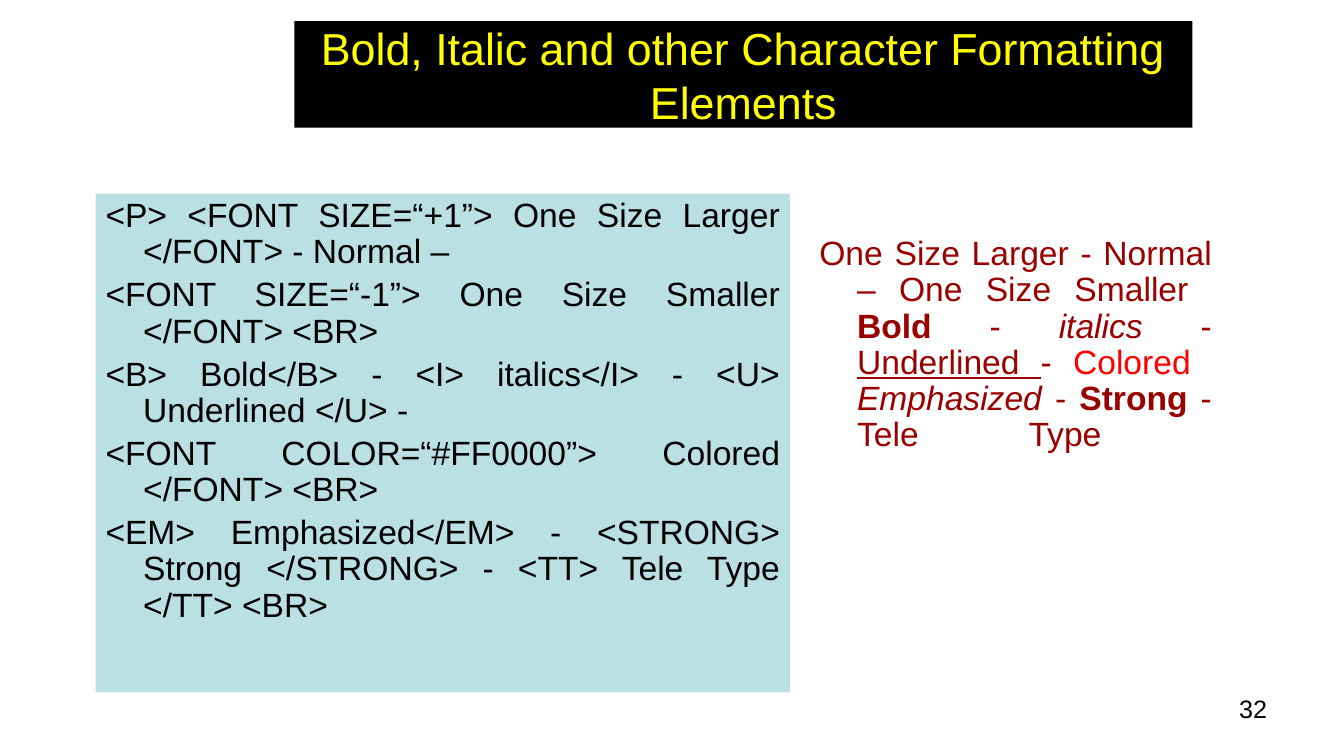
"""Build a slide on HTML character formatting elements."""
from pptx import Presentation
from pptx import util as u
from pptx.dml.color import RGBColor
from pptx.enum import text

BLACK = RGBColor(0x00, 0x00, 0x00)
YELLOW = RGBColor(0xFF, 0xFF, 0x00)
PALE_BLUE = RGBColor(0xBB, 0xE0, 0xE3)
DARK_RED = RGBColor(0x99, 0x00, 0x00)
RED = RGBColor(0xFF, 0x00, 0x00)
FONT = "Arial"
BREAK = "\v"

MARKUP = [
    "<P> <FONT SIZE=“+1”> One Size Larger </FONT> - Normal –",
    "<FONT SIZE=“-1”> One Size Smaller </FONT> <BR>",
    "<B> Bold</B> - <I> italics</I> - <U> Underlined </U> -",
    "<FONT COLOR=“#FF0000”> Colored </FONT> <BR>",
    "<EM> Emphasized</EM> - <STRONG> Strong </STRONG> - <TT> Tele Type </TT> <BR>",
]
RESULT = [
    ("One Size Larger - Normal – One Size Smaller ", {}),
    (BREAK, {}),
    ("Bold", {"bold": True}),
    (" - ", {}),
    ("italics", {"italic": True}),
    (" - ", {}),
    ("Underlined ", {"underline": True}),
    ("- ", {}),
    ("Colored ", {"color": RED}),
    (BREAK, {}),
    ("Emphasized", {"italic": True}),
    (" - ", {}),
    ("Strong ", {"bold": True}),
    ("- Tele Type ", {}),
    (BREAK, {}),
]


def format_run(r, size, color, bold=None, italic=None, underline=None):
    r.font.name = FONT
    r.font.size = u.Pt(size)
    r.font.color.rgb = color
    r.font.bold = bold
    r.font.italic = italic
    r.font.underline = underline


def format_hanging(p, first):
    p.alignment = text.PP_ALIGN.JUSTIFY
    p.line_spacing = 0.9
    p.space_before = u.Pt(0 if first else 4.8)
    pPr = p._p.get_or_add_pPr()
    pPr.set("marL", str(u.Cm(0.95)))
    pPr.set("indent", str(u.Cm(-0.95)))


def add_box(s, left, top, width, height):
    sp = s.shapes.add_textbox(u.Cm(left), u.Cm(top), u.Cm(width), u.Cm(height))
    sp.text_frame.word_wrap = True
    return sp


def set_title(s, title):
    sp = s.shapes.title
    sp.left, sp.top = u.Cm(7.42), u.Cm(0.53)
    sp.width, sp.height = u.Cm(22.63), u.Cm(2.69)
    sp.fill.solid()
    sp.fill.fore_color.rgb = BLACK
    tf = sp.text_frame
    tf.text = title
    tf.auto_size = text.MSO_AUTO_SIZE.NONE
    tf.vertical_anchor = text.MSO_ANCHOR.MIDDLE
    p = tf.paragraphs[0]
    p.alignment = text.PP_ALIGN.CENTER
    format_run(p.runs[0], 32, YELLOW)


def add_markup(s):
    sp = add_box(s, 2.41, 4.88, 17.5, 12.57)
    sp.fill.solid()
    sp.fill.fore_color.rgb = PALE_BLUE
    tf = sp.text_frame
    tf.text = "\n".join(MARKUP)
    for i, p in enumerate(tf.paragraphs):
        format_hanging(p, i == 0)
        format_run(p.runs[0], 24, BLACK)


def add_result(s):
    tf = add_box(s, 20.4, 4.78, 10.39, 12.57).text_frame
    tf.margin_top = u.Cm(1.18)
    p = tf.paragraphs[0]
    format_hanging(p, True)
    for words, style in RESULT:
        if words == BREAK:
            p.add_line_break()
            continue
        r = p.add_run()
        r.text = words
        format_run(r, 24, **{"color": DARK_RED, **style})


def add_page_number(s, number):
    tf = add_box(s, 24.28, 17.35, 7.9, 1.32).text_frame
    tf.text = number
    p = tf.paragraphs[0]
    p.alignment = text.PP_ALIGN.RIGHT
    format_run(p.runs[0], 18, BLACK)


def main():
    prs = Presentation()
    prs.slide_width, prs.slide_height = u.Cm(33.87), u.Cm(19.05)
    s = prs.slides.add_slide(prs.slide_layouts[5])
    set_title(s, "Bold, Italic and other Character Formatting Elements")
    add_markup(s)
    add_result(s)
    add_page_number(s, "32")
    prs.save("out.pptx")


if __name__ == "__main__":
    main()
